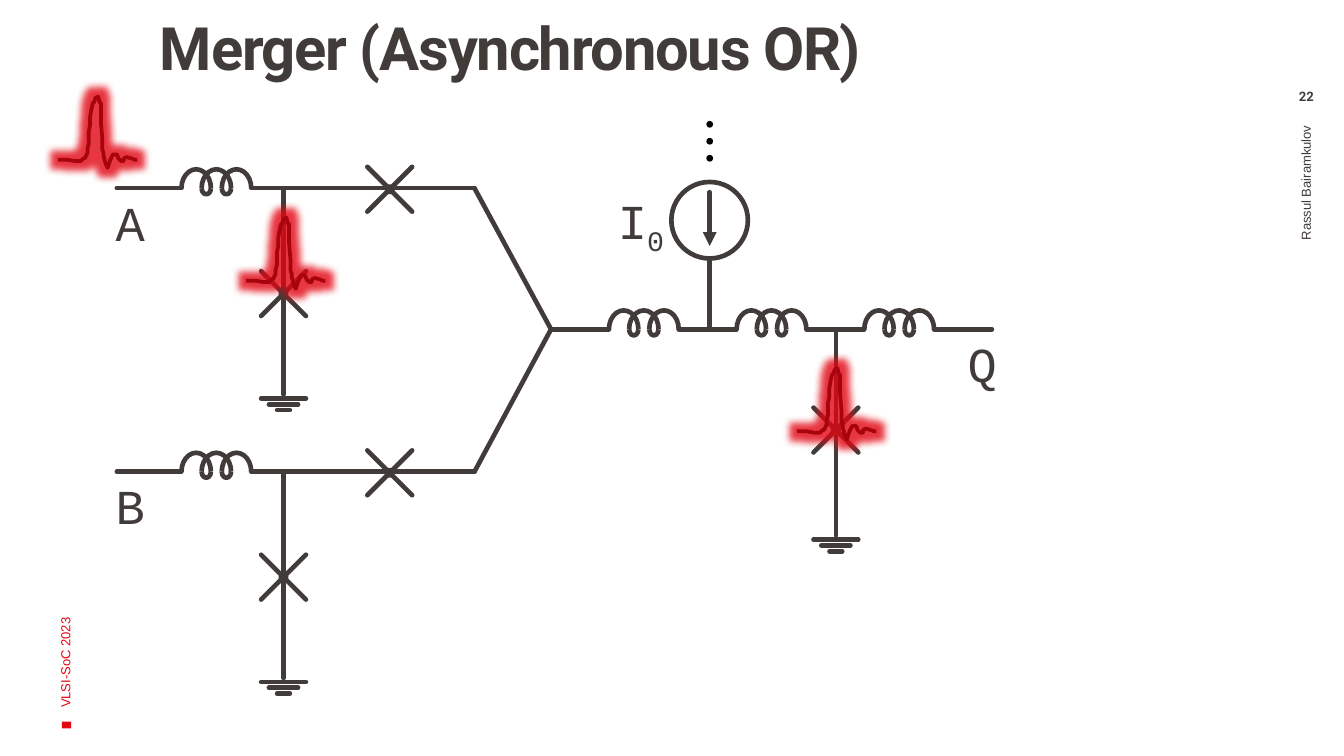
from lxml import etree
from pptx import Presentation
from pptx.dml.color import RGBColor
from pptx.enum.shapes import MSO_CONNECTOR, MSO_SHAPE
from pptx.enum.text import MSO_ANCHOR, MSO_AUTO_SIZE, PP_ALIGN
from pptx.oxml.ns import qn
from pptx.util import Pt

STRAIGHT = MSO_CONNECTOR.STRAIGHT
ARC, OVAL, RECT = MSO_SHAPE.ARC, MSO_SHAPE.OVAL, MSO_SHAPE.RECTANGLE
LEFT, CENTER, RIGHT = PP_ALIGN.LEFT, PP_ALIGN.CENTER, PP_ALIGN.RIGHT
TOP, MIDDLE = MSO_ANCHOR.TOP, MSO_ANCHOR.MIDDLE

COLORS = {"ink": "413C3A", "red": "E30613", "pulse": "A8040E",
          "dot": "000000", "paper": "FFFFFF"}
WIRE_WIDTH = 2.5
COIL_LENGTH = 37.4
TURN_PITCH = 10.8

# Wire levels and columns of the circuit
ROW_A, ROW_B, ROW_Q = 100.8, 252.7, 176.4
INPUT_X, INPUT_COIL_X, INPUT_TAP_X = 62.6, 97.2, 151.9
SERIES_X, BEND_X, MERGE_X = 208.8, 254.2, 295.2
OUTPUT_COILS = [326.2 + 68.4 * i for i in range(3)]
SOURCE_X, OUTPUT_TAP_X, OUTPUT_X = 380.2, 447.8, 531.4

# Pulse outline in hundredths of an inch
PULSE_UNIT = Pt(0.72)
PULSE = [(0, 47), (7, 47), (13, 48), (17, 48), (19, 46), (20, 46), (21, 44),
         (22, 42), (22, 39), (23, 35), (23, 26), (24, 21), (24, 15), (25, 9),
         (26, 5), (27, 4), (28, 1), (30, 0), (31, 4), (32, 5), (32, 19),
         (33, 31), (33, 39), (34, 42), (34, 44), (35, 48), (36, 51), (37, 53),
         (38, 50), (39, 47), (40, 45), (41, 43), (44, 43), (45, 46), (47, 48),
         (49, 48), (49, 46), (51, 45), (55, 46), (57, 47), (59, 47)]


def color(name):
    return RGBColor.from_string(COLORS[name])


def style_line(item, name="ink", width=WIRE_WIDTH):
    item.line.color.rgb = color(name)
    item.line.width = Pt(width)


def wire(slide, x1, y1, x2, y2, arrow=False):
    line = slide.shapes.add_connector(STRAIGHT, Pt(x1), Pt(y1), Pt(x2), Pt(y2))
    style_line(line)
    ln = line.line._get_or_add_ln()
    ln.set("cap", "rnd")
    if arrow:
        etree.SubElement(ln, qn("a:tailEnd"), type="triangle")
    etree.SubElement(line._element.spPr, qn("a:effectLst"))


def solid(slide, kind, x, y, w, h, fill, outlined=False):
    shape = slide.shapes.add_shape(kind, Pt(x), Pt(y), Pt(w), Pt(h))
    shape.shadow.inherit = False
    shape.fill.solid()
    shape.fill.fore_color.rgb = color(fill)
    if outlined:
        style_line(shape)
    else:
        shape.line.fill.background()


def half_turn(slide, x, y, w, h, rotation=0):
    """Open half ellipse centred on the level y."""
    arc = slide.shapes.add_shape(ARC, Pt(x), Pt(y - h / 2), Pt(w), Pt(h))
    arc.adjustments[0] = 107.84
    arc.adjustments[1] = 0
    arc.rotation = rotation
    arc.shadow.inherit = False
    arc.fill.background()
    style_line(arc)


def coil(slide, x, y):
    for turn in range(3):
        half_turn(slide, x + TURN_PITCH * turn, y, 15.8, 20.2)
        if turn:
            half_turn(slide, x + TURN_PITCH * turn, y, 5, 6.5, 180)


def junction(slide, x, y):
    """Josephson junction: a cross with a small dot in its centre."""
    reach, dot = 12, 2.9
    wire(slide, x - reach, y - reach, x + reach, y + reach)
    wire(slide, x + reach, y - reach, x - reach, y + reach)
    solid(slide, OVAL, x - dot / 2, y - dot / 2, dot, dot, "ink", True)


def grounded_branch(slide, x, y, junction_drop):
    wire(slide, x, y, x, y + 110.5)
    junction(slide, x, y + junction_drop)
    for step, reach in enumerate((12, 7.8, 3.4)):
        bar_y = y + 112.7 + 3.1 * step
        wire(slide, x - reach, bar_y, x + reach, bar_y)


def input_stage(slide, y):
    wire(slide, INPUT_X, y, INPUT_COIL_X, y)
    coil(slide, INPUT_COIL_X, y)
    wire(slide, INPUT_COIL_X + COIL_LENGTH, y, BEND_X, y)
    junction(slide, SERIES_X, y + 0.6)
    grounded_branch(slide, INPUT_TAP_X, y, 56.5)
    wire(slide, BEND_X, y, MERGE_X, ROW_Q)


def output_stage(slide):
    start = MERGE_X
    for x in OUTPUT_COILS:
        wire(slide, start, ROW_Q, x, ROW_Q)
        coil(slide, x, ROW_Q)
        start = x + COIL_LENGTH
    wire(slide, start, ROW_Q, OUTPUT_X, ROW_Q)
    grounded_branch(slide, OUTPUT_TAP_X, ROW_Q, 54)


def current_source(slide):
    size, top, dot = 41, 97.5, 3.6
    for i in range(3):
        solid(slide, OVAL, SOURCE_X - dot / 2, 64.8 + 9.1 * i, dot, dot, "dot")
    solid(slide, OVAL, SOURCE_X - size / 2, top, size, size, "paper", True)
    wire(slide, SOURCE_X, 103, SOURCE_X, 131.8, arrow=True)
    wire(slide, SOURCE_X, top + size, SOURCE_X, ROW_Q)


def pulse(slide, x, y):
    builder = slide.shapes.build_freeform(*PULSE[0], scale=PULSE_UNIT)
    builder.add_line_segments(PULSE[1:], close=False)
    shape = builder.convert_to_shape(Pt(x), Pt(y))
    shape.fill.background()
    style_line(shape, "pulse", 2)
    effects = etree.SubElement(shape._element.spPr, qn("a:effectLst"))
    glow = etree.SubElement(effects, qn("a:glow"), rad=str(Pt(8)))
    tint = etree.SubElement(glow, qn("a:srgbClr"), val=COLORS["red"])
    etree.SubElement(tint, qn("a:alpha"), val="80000")


def format_runs(paragraph, size, font, name, bold=False):
    for run in paragraph.runs:
        run.font.size = Pt(size)
        run.font.name = font
        run.font.bold = bold
        run.font.color.rgb = color(name)


def label(slide, text, x, y, w, h, size=26.1, font="Courier New", name="ink",
          align=CENTER, anchor=MIDDLE, bold=False, rotation=0, subscript=""):
    box = slide.shapes.add_textbox(Pt(x), Pt(y), Pt(w), Pt(h))
    box.rotation = rotation
    frame = box.text_frame
    frame.word_wrap = True
    frame.vertical_anchor = anchor
    if anchor == TOP:
        frame.margin_top = frame.margin_bottom = 0
    frame.text = text
    paragraph = frame.paragraphs[0]
    paragraph.alignment = align
    if subscript:
        run = paragraph.add_run()
        run.text = subscript
        run.font._element.set("baseline", "-25000")
    format_runs(paragraph, size, font, name, bold)


def title(slide, text):
    holder = slide.shapes.title
    holder.left, holder.top = Pt(71.3), Pt(10.1)
    holder.width, holder.height = Pt(416.9), Pt(46)
    frame = holder.text_frame
    frame.auto_size = MSO_AUTO_SIZE.NONE
    frame.vertical_anchor = TOP
    frame.margin_left, frame.margin_right = Pt(14.4), Pt(5.8)
    frame.margin_top, frame.margin_bottom = 0, Pt(3.6)
    frame.text = text
    paragraph = frame.paragraphs[0]
    paragraph.alignment = LEFT
    paragraph.line_spacing = 0.9
    format_runs(paragraph, 32, "Roboto", "ink", bold=True)
    paragraph.runs[0].font._element.set("spc", "-70")


def main():
    prs = Presentation()
    prs.slide_width, prs.slide_height = Pt(720), Pt(405)
    slide = prs.slides.add_slide(prs.slide_layouts[5])

    title(slide, "Merger (Asynchronous OR)")
    solid(slide, RECT, 33.2, 386.6, 5, 3.6, "red")
    label(slide, "VLSI-SoC 2023", -96.5, 218.9, 262.8, 72, 7, "Arial", "red",
          align=LEFT, rotation=270)
    label(slide, "Rassul Bairamkulov", 560.2, 179.3, 278.6, 40.3, 7, "Arial",
          align=RIGHT, rotation=270)
    label(slide, "22", 679.7, 47.5, 40.3, 13, 7, "Roboto", anchor=TOP, bold=True)

    for name, y in (("A", ROW_A), ("B", ROW_B)):
        input_stage(slide, y)
        label(slide, name, 48.2, y - 1.4, 43.2, 38.9)
    current_source(slide)
    label(slide, "I", 321.8, 107.3, 43.2, 25.2, subscript="0")
    output_stage(slide)
    label(slide, "Q", 504.7, ROW_Q - 1.4, 43.2, 38.9)

    for x, y in ((31, 51.8), (131.8, 116.6), (427, 197.3)):
        pulse(slide, x, y)

    prs.save("out.pptx")


if __name__ == "__main__":
    main()
